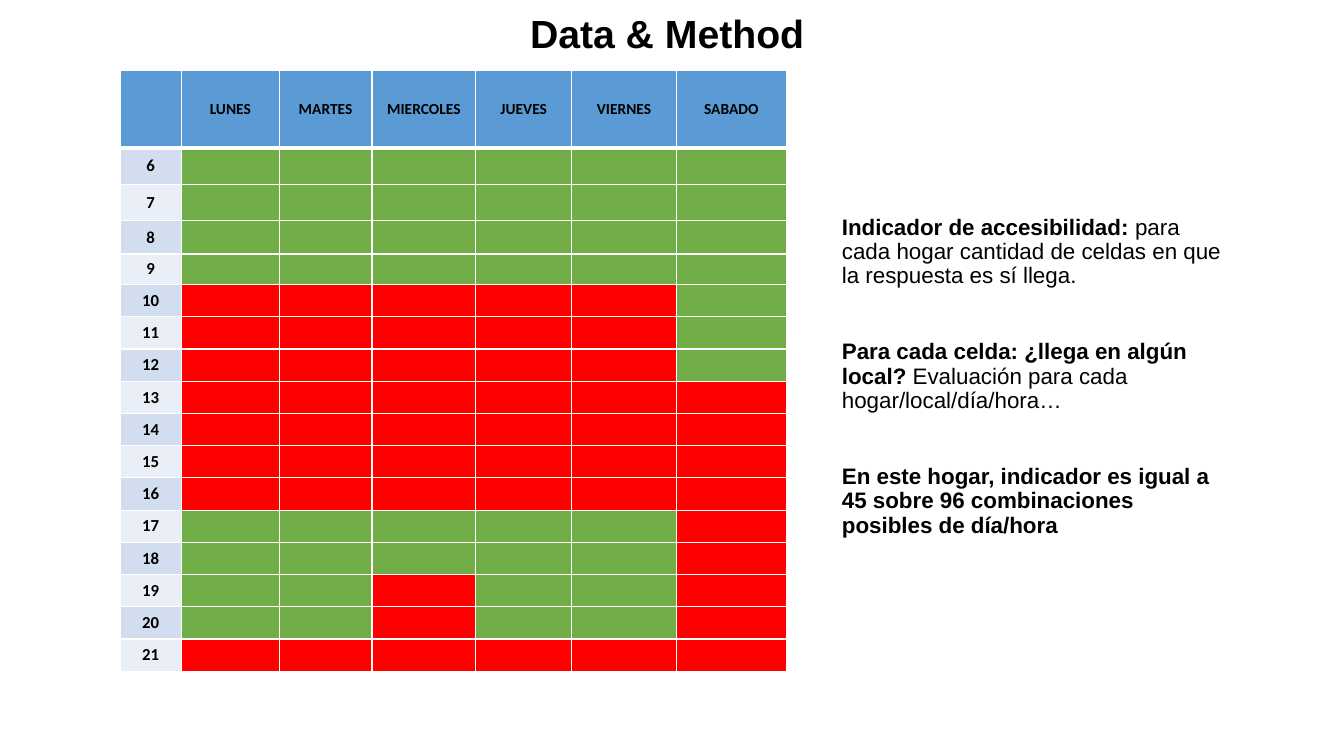
"""Build the Data & Method slide with its weekly access grid."""
from lxml.etree import SubElement
from pptx import Presentation
from pptx.dml.color import RGBColor
from pptx.enum.text import MSO_ANCHOR as Anchor, MSO_AUTO_SIZE as Fit, PP_ALIGN as Align
from pptx.oxml.ns import qn
from pptx.util import Inches, Pt

hue = RGBColor.from_string


def write(para, text, size=16, face="Arial", bold=True, align=None):
    run = para.add_run()
    run.text = text
    run.font.size = Pt(size)
    run.font.name = face
    run.font.bold = bold
    run.font.color.rgb = hue("000000")
    if align is not None:
        para.alignment = align


def place(shape, left, top, width, height):
    shape.left, shape.top = Inches(left), Inches(top)
    shape.width, shape.height = Inches(width), Inches(height)
    shape.text_frame.word_wrap = True
    shape.text_frame.auto_size = Fit.NONE
    return shape.text_frame


deck = Presentation()
deck.slide_width, deck.slide_height = Inches(13.33), Inches(7.5)
slide = deck.slides.add_slide(deck.slide_layouts[1])

title = place(slide.shapes.title, 0.92, 0.02, 11.5, 0.67)
title.vertical_anchor = Anchor.MIDDLE
head = title.paragraphs[0]
head.line_spacing = 0.9
write(head, "Data & Method ", size=28, align=Align.CENTER)

notes = [
    ("Indicador de accesibilidad: ",
     "para cada hogar cantidad de celdas en que la respuesta es sí llega."),
    ("Para cada celda: ¿llega en algún local? ",
     "Evaluación para cada hogar/local/día/hora…"),
    ("En este hogar, indicador es igual a 45 sobre 96 combinaciones posibles de día/hora", ""),
]
body = place(slide.placeholders[1], 8.25, 2.09, 3.99, 3.97)
body.vertical_anchor = Anchor.TOP
for i, (lead, rest) in enumerate(notes):
    para = body.paragraphs[0] if i == 0 else body.add_paragraph()
    para.line_spacing = 0.9
    para.space_before = Pt(37.4 if i else 0)
    props = para._p.get_or_add_pPr()
    props.set("marL", "0")
    props.set("indent", "0")
    SubElement(props, qn("a:buNone"))
    write(para, lead)
    if rest:
        write(para, rest, bold=False)

days = ["", "LUNES", "MARTES", "MIERCOLES", "JUEVES", "VIERNES", "SABADO"]
hours = range(6, 22)
wides = [0.61, 0.97, 0.92, 1.03, 0.95, 1.04, 1.09]
talls = [0.77, 0.36, 0.36, 0.33, 0.3] + [0.32] * 12
week = set(range(6, 10)) | set(range(17, 21))
reach = {day: week for day in days[1:]}
reach["MIERCOLES"] = week - {19, 20}
reach["SABADO"] = set(range(6, 13))

grid = slide.shapes.add_table(len(talls), len(wides), Inches(1.19), Inches(0.7),
                              Inches(sum(wides)), Inches(sum(talls))).table
for col, wide in zip(grid.columns, wides):
    col.width = Inches(wide)
for row, tall in zip(grid.rows, talls):
    row.height = Inches(tall)

for r, hour in enumerate([None, *hours]):
    for c, day in enumerate(days):
        if r == 0:
            text, size, tint = day, 11, "5B9BD5"
        elif c == 0:
            text, size, tint = str(hour), 12, "D2DEEF" if r % 2 else "EAEFF7"
        else:
            text, size, tint = "", 11, "70AD47" if hour in reach[day] else "FF0000"
        cell = grid.cell(r, c)
        cell.vertical_anchor = Anchor.MIDDLE
        para = cell.text_frame.paragraphs[0]
        if text:
            write(para, text, size=size, face="Calibri", align=Align.CENTER)
        else:
            para._p.get_or_add_endParaRPr().set("sz", str(size * 100))
        props = cell._tc.get_or_add_tcPr()
        for side in "LRTB":
            thick = (r, side) in [(0, "B"), (1, "T")]
            line = SubElement(props, qn(f"a:ln{side}"), w=str(Pt(3 if thick else 1)))
            SubElement(SubElement(line, qn("a:solidFill")), qn("a:srgbClr"), val="FFFFFF")
        cell.fill.solid()
        cell.fill.fore_color.rgb = hue(tint)

deck.save("out.pptx")
